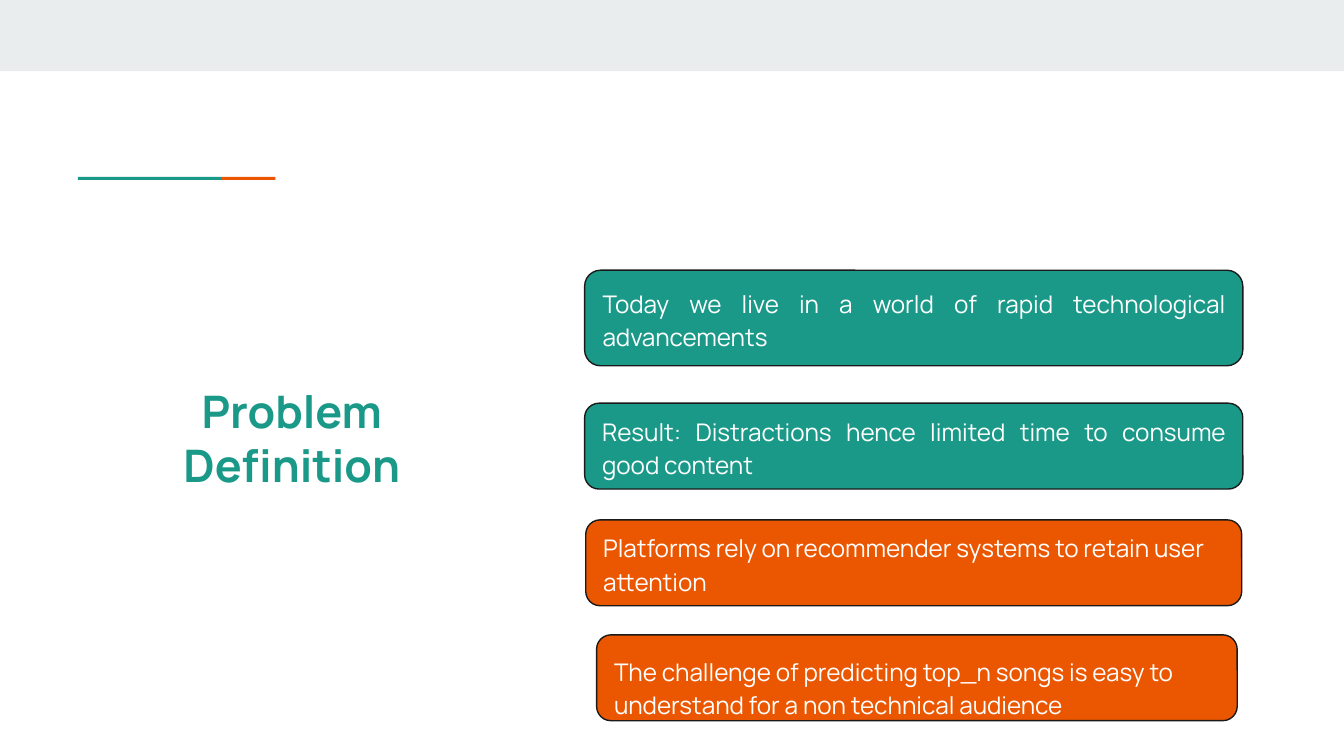
import pptx
import pptx.util
import pptx.dml.color
import pptx.enum.shapes
import pptx.enum.text

Pt = pptx.util.Pt
RGB = pptx.dml.color.RGBColor
SHAPES = pptx.enum.shapes.MSO_SHAPE
ALIGN = pptx.enum.text.PP_ALIGN
ANCHOR = pptx.enum.text.MSO_ANCHOR

TEAL = RGB(0x1A, 0x99, 0x88)
ORANGE = RGB(0xEB, 0x56, 0x00)
PALE = RGB(0xE9, 0xED, 0xEE)
INK = RGB(0x1A, 0x1A, 0x1A)
WHITE = RGB(0xFF, 0xFF, 0xFF)
INSET = 7.2


def write(shape, text, size=13, color=WHITE, bold=False, align=ALIGN.LEFT,
          anchor=ANCHOR.MIDDLE, top_inset=INSET, line_spacing=None, after=0):
    """Put one formatted paragraph into a shape."""
    frame = shape.text_frame
    frame.word_wrap = True
    frame.auto_size = pptx.enum.text.MSO_AUTO_SIZE.NONE
    frame.vertical_anchor = anchor
    frame.margin_left = frame.margin_right = frame.margin_bottom = Pt(INSET)
    frame.margin_top = Pt(top_inset)
    frame.text = text
    paragraph = frame.paragraphs[0]
    paragraph.alignment = align
    paragraph.line_spacing = line_spacing
    paragraph.space_before = Pt(0)
    paragraph.space_after = Pt(after)
    font = paragraph.runs[0].font
    font.name, font.size, font.bold = "Manrope", Pt(size), bold
    font.color.rgb = color


def block(slide, kind, box, fill, outline=None):
    """Add a flat filled shape in the box (left, top, width, height)."""
    shape = slide.shapes.add_shape(kind, *map(Pt, box))
    shape.shadow.inherit = False
    shape.fill.solid()
    shape.fill.fore_color.rgb = fill
    if outline is None:
        shape.line.fill.background()
    else:
        shape.line.color.rgb = outline
        shape.line.width = Pt(0.75)
    return shape


def accent_rule(slide, left, top, width, height):
    """Draw the two-colour rule, its last part orange."""
    teal_width = width * 0.73
    block(slide, SHAPES.RECTANGLE, (left, top, teal_width, height), TEAL)
    block(slide, SHAPES.RECTANGLE,
          (left + teal_width, top, width - teal_width, height), ORANGE)


def heading(slide, left, top, width, height):
    """Place the slide title, set one line below the middle of its box."""
    title = slide.shapes.title
    title.left, title.top, title.width, title.height = map(
        Pt, (left, top, width, height))
    write(title, "Problem Definition", size=24, color=TEAL, bold=True,
          align=ALIGN.CENTER, top_inset=INSET + 29)


def statements(slide, left, top, width):
    """Stack the statement cards; each row gives offset, inset and height."""
    cards = [
        (0, 0, 0, 51.2, TEAL, ALIGN.JUSTIFY, ANCHOR.MIDDLE,
         "Today we live in a world of rapid technological advancements"),
        (71.2, 0, 0, 46, TEAL, ALIGN.JUSTIFY, ANCHOR.MIDDLE,
         "Result: Distractions hence limited time to consume good content"),
        (133.7, 0.6, 0.6, 46, ORANGE, ALIGN.LEFT, ANCHOR.MIDDLE,
         "Platforms rely on recommender systems to retain user attention"),
        (195.3, 6.4, 3, 46, ORANGE, ALIGN.LEFT, ANCHOR.TOP,
         "The challenge of predicting top_n songs is easy to understand "
         "for a non technical audience"),
    ]
    for down, inset_left, inset_right, height, fill, align, anchor, text in cards:
        box = (left + inset_left, top + down,
               width - inset_left - inset_right, height)
        card = block(slide, SHAPES.ROUNDED_RECTANGLE, box, fill, INK)
        card.adjustments[0] = 0.167
        write(card, text, align=align, anchor=anchor, line_spacing=1.15, after=12)


def build():
    """Build and save the slide."""
    deck = pptx.Presentation()
    deck.slide_width, deck.slide_height = Pt(720), Pt(405)
    slide = deck.slides.add_slide(deck.slide_layouts[5])
    block(slide, SHAPES.RECTANGLE, (0, 0, 720, 38.2), PALE)
    accent_rule(slide, 41.8, 94.8, 105.7, 1.6)
    heading(slide, 49, 106.6, 214.6, 226.8)
    statements(slide, 313.2, 144.8, 352.6)
    deck.save("out.pptx")


build()
